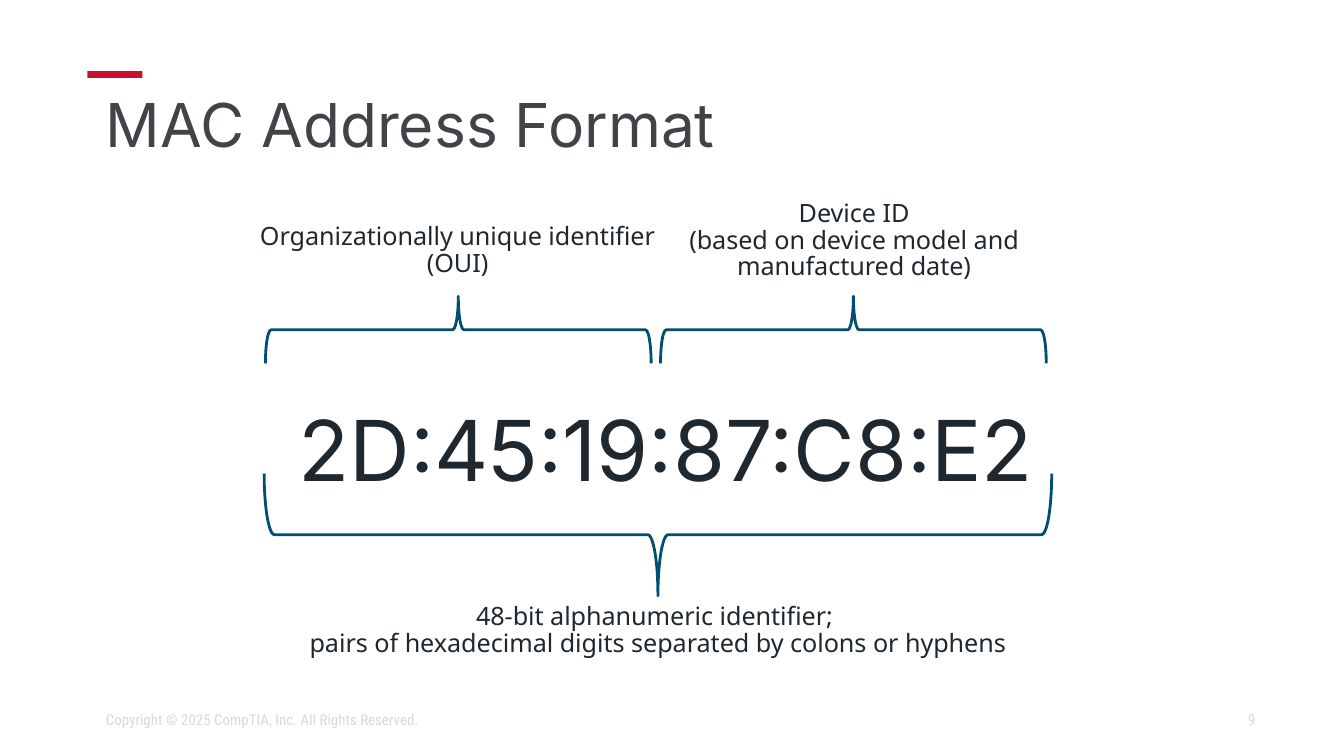
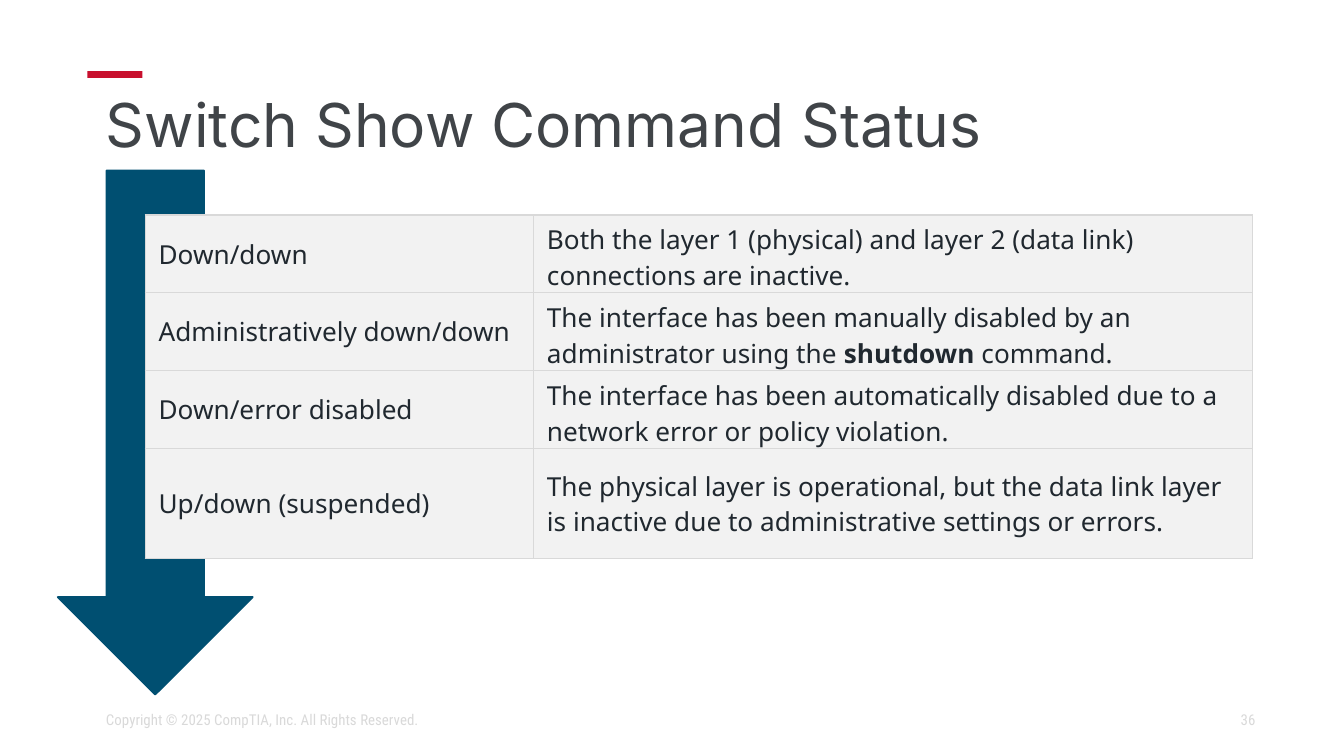
from copy import deepcopy

from lxml import etree
from pptx import Presentation
from pptx.dml.color import RGBColor
from pptx.enum.shapes import MSO_SHAPE
from pptx.enum.text import MSO_ANCHOR, PP_ALIGN
from pptx.oxml.ns import qn
from pptx.util import Pt

EMU_PER_PX = 9144
LEFT, CENTER, RIGHT = PP_ALIGN.LEFT, PP_ALIGN.CENTER, PP_ALIGN.RIGHT
TOP, MIDDLE = MSO_ANCHOR.TOP, MSO_ANCHOR.MIDDLE
RECTANGLE = MSO_SHAPE.RECTANGLE
RIGHT_BRACE = MSO_SHAPE.RIGHT_BRACE
DOWN_ARROW = MSO_SHAPE.DOWN_ARROW

ACCENT_RED = "C8102E"
TITLE_GRAY = "404448"
INK = "20282F"
BRACE_BLUE = "004F70"
ARROW_BLUE = "004F71"
CELL_GRAY = "F2F2F2"
PALE_GRAY = "D9D9D9"

TITLE_FONT = "Inter"
BODY_FONT = "Noto Sans"
FOOTER_FONT = "Roboto Condensed"

COPYRIGHT = "Copyright © 2025 CompTIA, Inc. All Rights Reserved."
STATUSES = [
    ("Down/down",
     "Both the layer 1 (physical) and layer 2 (data link) connections are inactive."),
    ("Administratively down/down",
     "The interface has been manually disabled by an administrator using the "
     "**shutdown** command."),
    ("Down/error disabled",
     "The interface has been automatically disabled due to a network error or "
     "policy violation."),
    ("Up/down (suspended)",
     "The physical layer is operational, but the data link layer is inactive due to "
     "administrative settings or errors."),
]


def px(length):
    return length * EMU_PER_PX


def color(value):
    return RGBColor.from_string(value)


def write(text_frame, text, size=13.5, font=BODY_FONT, fill=INK, align=LEFT,
          spacing=None):
    for index, line in enumerate(text.split("\n")):
        paragraph = text_frame.paragraphs[0] if index == 0 else text_frame.add_paragraph()
        paragraph.alignment = align
        paragraph.line_spacing = spacing
        for part_index, part in enumerate(line.split("**")):
            for piece_index, piece in enumerate(part.split("\v")):
                if piece_index:
                    paragraph.add_line_break()
                run = paragraph.add_run()
                run.text = piece
                run.font.size = Pt(size)
                run.font.name = font
                run.font.bold = part_index % 2 == 1
                run.font.color.rgb = color(fill)
        for line_break in paragraph._p.findall(qn("a:br")):
            line_break.append(deepcopy(paragraph.runs[0].font._element))


def add_text(slide, box, text, anchor=TOP, **text_format):
    shape = slide.shapes.add_textbox(*map(px, box))
    shape.text_frame.word_wrap = True
    shape.text_frame.vertical_anchor = anchor
    write(shape.text_frame, text, **text_format)


def add_shape(slide, kind, box, fill=None, line=None, line_width=1, rotation=0):
    shape = slide.shapes.add_shape(kind, *map(px, box))
    shape.shadow.inherit = False
    shape.rotation = rotation
    if fill:
        shape.fill.solid()
        shape.fill.fore_color.rgb = color(fill)
    else:
        shape.fill.background()
    if line:
        shape.line.color.rgb = color(line)
        shape.line.width = Pt(line_width)
    else:
        shape.line.fill.background()


def add_horizontal_brace(slide, box, rotation):
    left, top, width, height = box
    upright = (left + (width - height) // 2, top + (height - width) // 2, height, width)
    add_shape(slide, RIGHT_BRACE, upright, line=BRACE_BLUE, line_width=1.5,
              rotation=rotation)


def add_frame(presentation, title, number):
    slide = presentation.slides.add_slide(presentation.slide_layouts[6])
    add_shape(slide, RECTANGLE, (65, 53, 41, 5), fill=ACCENT_RED)
    add_text(slide, (69, 64, 862, 63), title, anchor=MIDDLE, size=32.4,
             font=TITLE_FONT, fill=TITLE_GRAY, spacing=0.9)
    footer = {"anchor": MIDDLE, "size": 8, "font": FOOTER_FONT, "fill": PALE_GRAY}
    add_text(slide, (706, 521, 238, 30), str(number), align=RIGHT, **footer)
    add_text(slide, (69, 521, 431, 30), COPYRIGHT, **footer)
    return slide


def add_address_diagram(slide, box):
    left, top, width, height = box
    add_text(slide, (left - 36, top + 146, 669, 86), "2D:45:19:87:C8:E2",
             size=45, font=TITLE_FONT, align=CENTER)
    add_horizontal_brace(slide, (left, top + 208, width, 91), 90)
    brace_width = 287
    for brace_left in (left + 1, left + width - brace_width - 4):
        add_horizontal_brace(slide, (brace_left, top + 76, brace_width, 50), 270)
    captions = [
        ((left + 10, top + 300, 565, 55),
         "48-bit alphanumeric identifier; \v"
         "pairs of hexadecimal digits separated by colons or hyphens"),
        ((left - 18, top + 17, 323, 57), "Organizationally unique identifier (OUI)"),
        ((left + 277, top, 323, 81),
         "Device ID\n(based on device model and manufactured date)"),
    ]
    for caption_box, caption in captions:
        add_text(slide, caption_box, caption, align=CENTER, spacing=0.88)


def set_borders(cell):
    properties = cell._tc.get_or_add_tcPr()
    for index, side in enumerate(("lnL", "lnR", "lnT", "lnB")):
        border = etree.Element(qn(f"a:{side}"), w=str(Pt(0.75)))
        fill = etree.SubElement(border, qn("a:solidFill"))
        etree.SubElement(fill, qn("a:srgbClr"), val=PALE_GRAY)
        properties.insert(index, border)


def add_status_table(slide, box):
    row_heights = (58, 58, 58, 82)
    column_widths = (289, 535)
    table = slide.shapes.add_table(len(STATUSES), len(column_widths),
                                   *map(px, box)).table
    table.first_row = False
    table.horz_banding = False
    for column, width in zip(table.columns, column_widths):
        column.width = px(width)
    for row, height, texts in zip(table.rows, row_heights, STATUSES):
        row.height = px(height)
        for cell, text in zip(row.cells, texts):
            cell.vertical_anchor = MIDDLE
            cell.fill.solid()
            cell.fill.fore_color.rgb = color(CELL_GRAY)
            set_borders(cell)
            write(cell.text_frame, text, size=14)


def add_status_diagram(slide, box):
    left, top, width, height = box
    add_shape(slide, DOWN_ARROW, (left, top, 145, height), fill=ARROW_BLUE,
              line=ARROW_BLUE)
    add_status_table(slide, (left + 65, top + 33, width - 65, 256))


def main():
    presentation = Presentation()
    presentation.slide_width = px(1000)
    presentation.slide_height = px(562)
    address_slide = add_frame(presentation, "MAC Address Format", 9)
    add_address_diagram(address_slide, (197, 145, 586, 355))
    status_slide = add_frame(presentation, "Switch Show Command Status", 36)
    add_status_diagram(status_slide, (43, 127, 889, 390))
    presentation.save("out.pptx")


if __name__ == "__main__":
    main()
